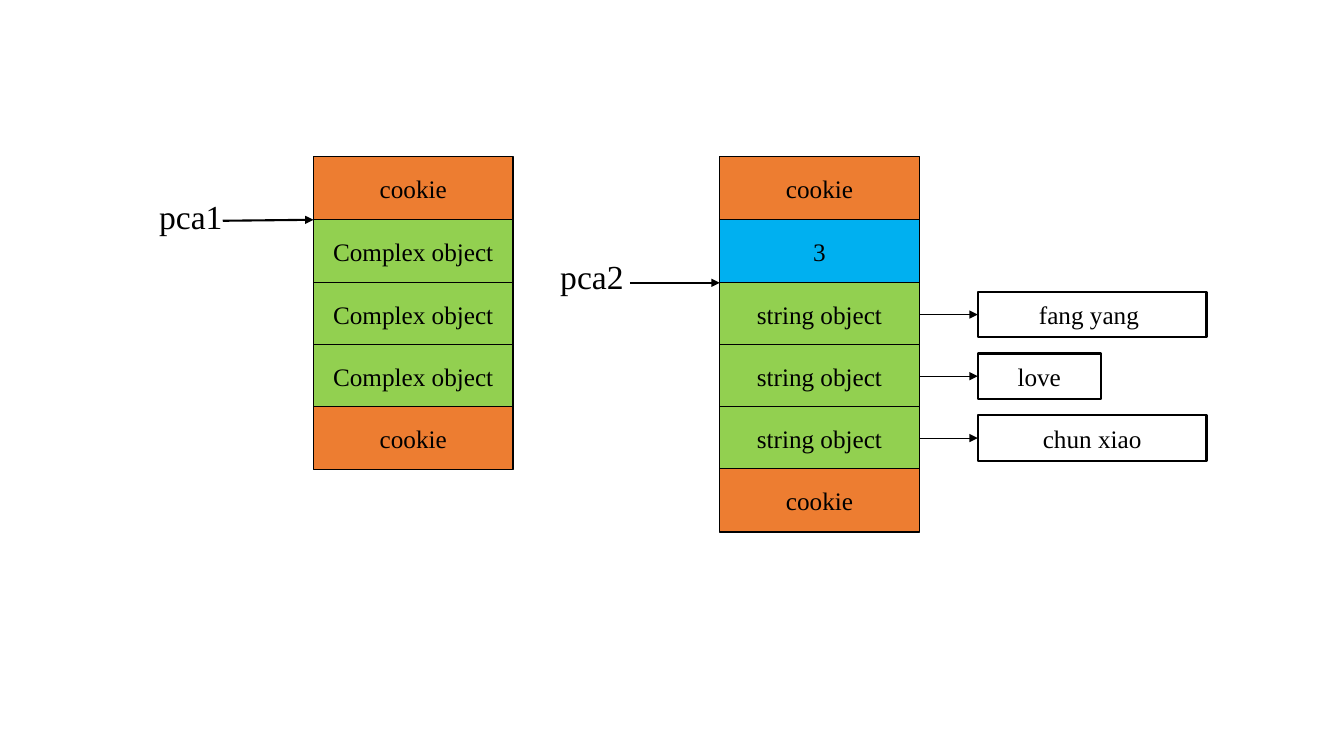
"""Builds a slide that compares the memory layout of two object arrays."""
from lxml.etree import SubElement
from pptx import Presentation
from pptx.dml.color import RGBColor
from pptx.enum.shapes import MSO_CONNECTOR, MSO_SHAPE
from pptx.enum.text import MSO_ANCHOR, PP_ALIGN
from pptx.oxml.ns import qn
from pptx.util import Pt

FONT = "Times New Roman"
BLACK, ORANGE, GREEN, BLUE = "000000", "ED7D31", "92D050", "00B0F0"
ROW_TOPS = (111.6, 157, 202, 246, 290.2, 334.8)
CELL_WIDTH, CELL_HEIGHT = 142.56, 45.36
COMPLEX_LEFT, STRING_LEFT = 223.92, 514.08
VALUE_LEFT, VALUE_HEIGHT = 698.4, 32.4

COMPLEX_CELLS = [("cookie", ORANGE), *[("Complex object", GREEN)] * 3, ("cookie", ORANGE)]
STRING_CELLS = [("cookie", ORANGE), ("3", BLUE), *[("string object", GREEN)] * 3,
                ("cookie", ORANGE)]
VALUES = [("fang yang ", 163.44), ("love", 87.84), ("chun xiao", 163.44)]


def color(hex_string):
    return RGBColor.from_string(hex_string)


def write_text(frame, text, size, alignment):
    frame.text = text
    paragraph = frame.paragraphs[0]
    paragraph.alignment = alignment
    font = paragraph.runs[0].font
    font.name, font.size = FONT, Pt(size)
    font.color.rgb = color(BLACK)


def add_box(page, text, left, top, width, height, line_width, fill=None):
    box = page.shapes.add_shape(MSO_SHAPE.RECTANGLE, Pt(left), Pt(top), Pt(width), Pt(height))
    box.shadow.inherit = False
    if fill:
        box.fill.solid()
        box.fill.fore_color.rgb = color(fill)
    else:
        box.fill.background()
    box.line.color.rgb = color(BLACK)
    box.line.width = Pt(line_width)
    box.text_frame.vertical_anchor = MSO_ANCHOR.MIDDLE
    write_text(box.text_frame, text, 18, PP_ALIGN.CENTER)
    return box


def add_column(page, left, cells):
    return [add_box(page, text, left, top, CELL_WIDTH, CELL_HEIGHT, 1, fill)
            for top, (text, fill) in zip(ROW_TOPS, cells)]


def add_label(page, text, left, top):
    label = page.shapes.add_textbox(Pt(left), Pt(top), Pt(76.32), Pt(36))
    label.text_frame.word_wrap = True
    write_text(label.text_frame, text, 24, PP_ALIGN.LEFT)


def add_arrow(page, start, end, line_width):
    arrow = page.shapes.add_connector(MSO_CONNECTOR.STRAIGHT, *map(Pt, start + end))
    arrow.line.color.rgb = color(BLACK)
    arrow.line.width = Pt(line_width)
    SubElement(arrow.line._get_or_add_ln(), qn("a:tailEnd"), type="triangle")
    SubElement(arrow._element.spPr, qn("a:effectLst"))
    return arrow


def add_value(page, cell, text, width):
    middle = (cell.top + cell.height / 2) / Pt(1)
    value = add_box(page, text, VALUE_LEFT, middle - VALUE_HEIGHT / 2, width, VALUE_HEIGHT, 1.5)
    arrow = add_arrow(page, (STRING_LEFT + CELL_WIDTH, middle), (VALUE_LEFT, middle), 0.5)
    arrow.begin_connect(cell, 3)
    arrow.end_connect(value, 1)


def main():
    deck = Presentation()
    deck.slide_width, deck.slide_height = Pt(960), Pt(540)
    page = deck.slides.add_slide(deck.slide_layouts[6])

    add_column(page, COMPLEX_LEFT, COMPLEX_CELLS)
    add_label(page, "pca1", 106.56, 136.08)
    add_arrow(page, (159.12, 157.7), (COMPLEX_LEFT, ROW_TOPS[1]), 1.5)

    string_cells = add_column(page, STRING_LEFT, STRING_CELLS)
    add_label(page, "pca2", 393.12, 179.28)
    add_arrow(page, (450, ROW_TOPS[2]), (STRING_LEFT, ROW_TOPS[2]), 1.5)
    for cell, (text, width) in zip(string_cells[2:5], VALUES):
        add_value(page, cell, text, width)

    deck.save("out.pptx")


if __name__ == "__main__":
    main()
